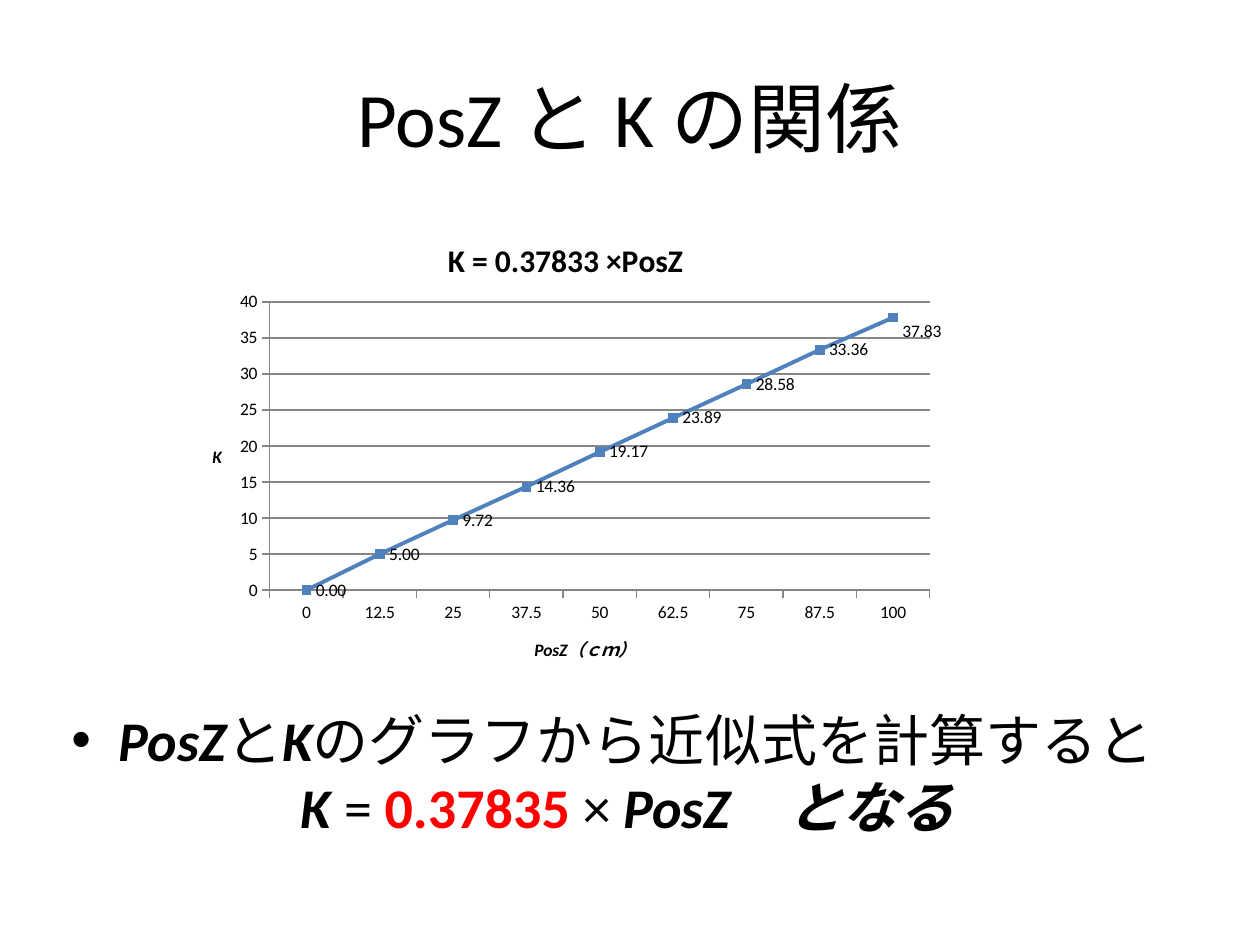
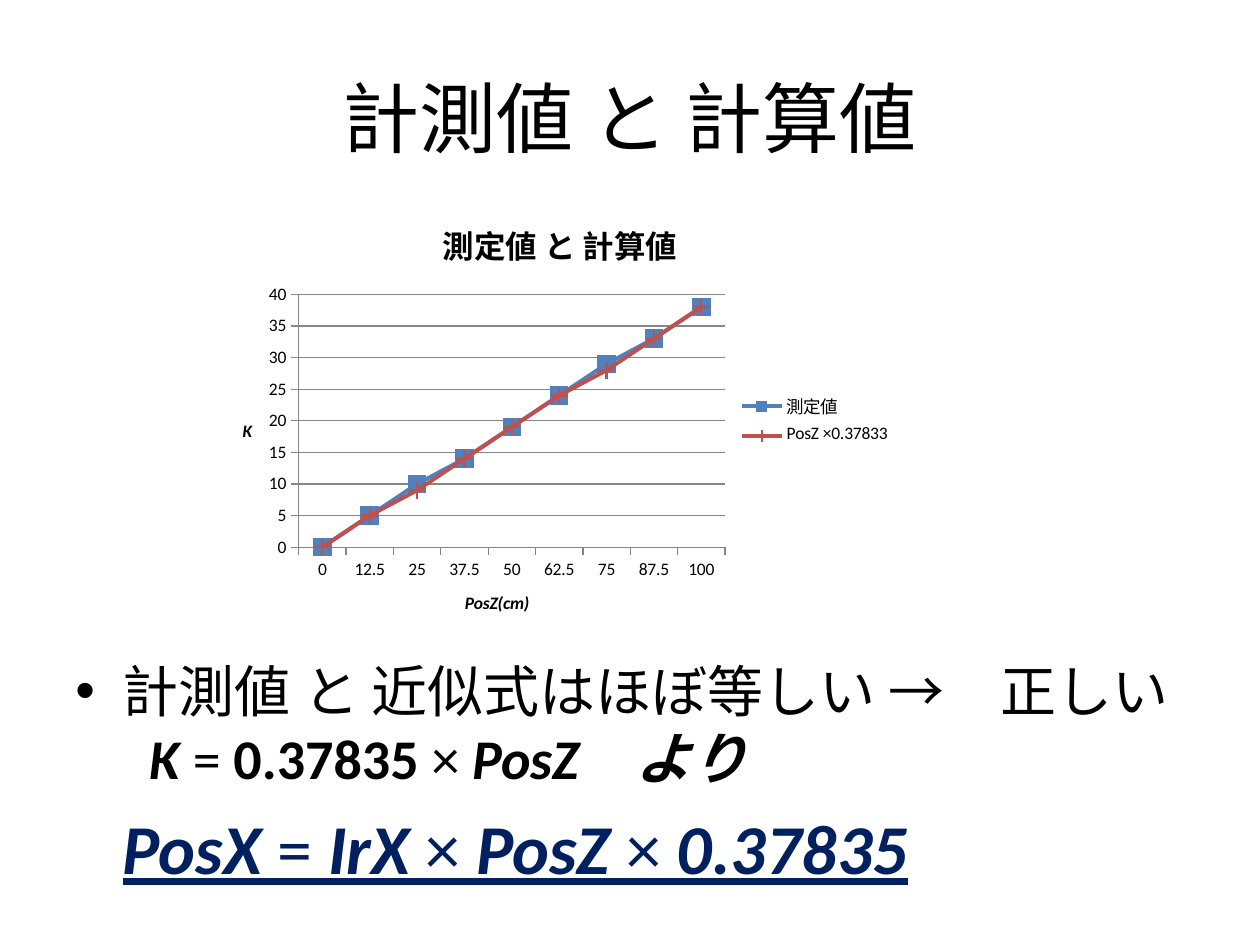
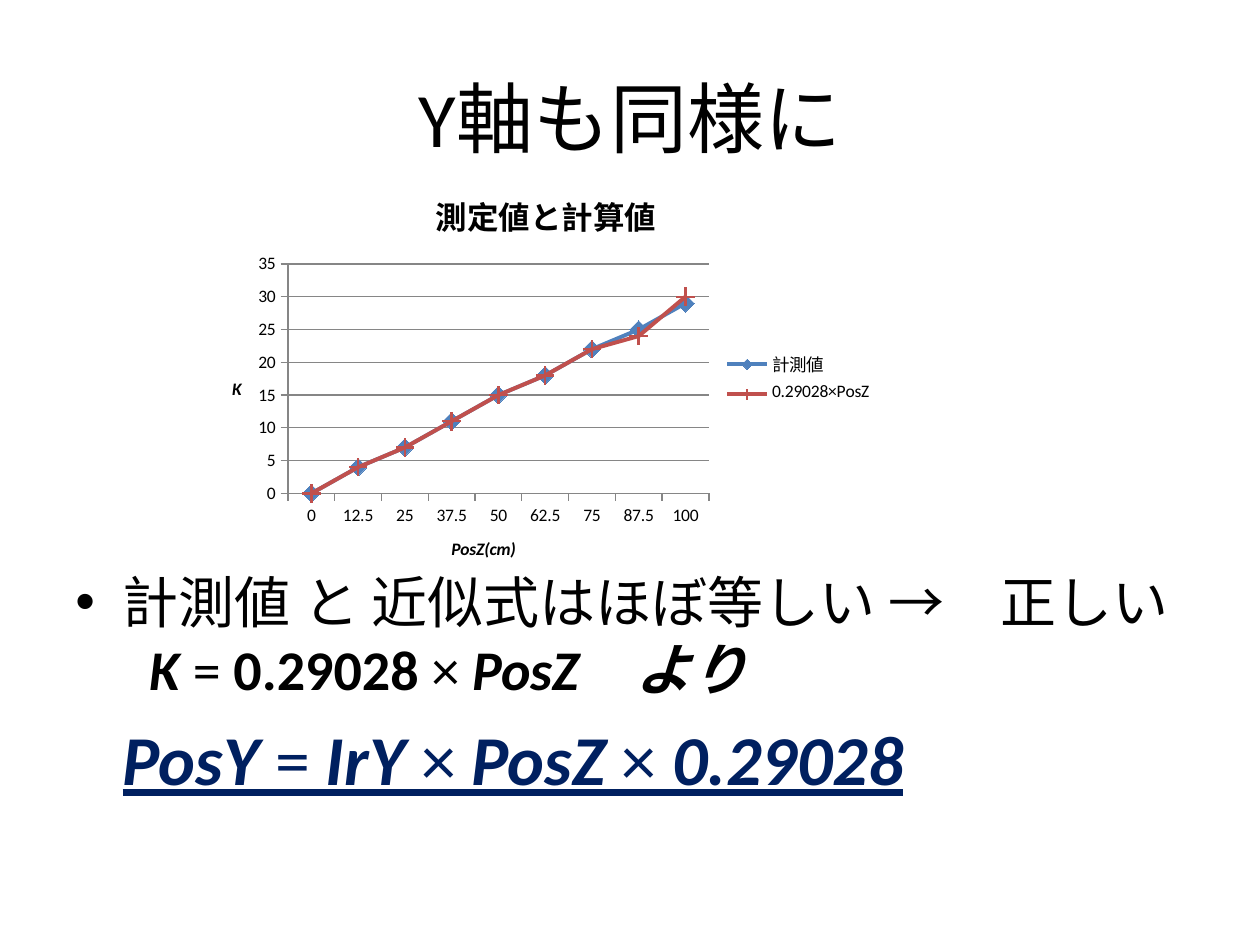
from pptx import Presentation
from pptx.chart.data import CategoryChartData
from pptx.dml.color import RGBColor
from pptx.enum.chart import (XL_CHART_TYPE, XL_LABEL_POSITION, XL_LEGEND_POSITION,
                             XL_MARKER_STYLE, XL_TICK_MARK)
from pptx.enum.text import MSO_ANCHOR, PP_ALIGN
from pptx.oxml import parse_xml
from pptx.oxml.ns import nsdecls
from pptx.util import Pt

LINE = XL_CHART_TYPE.LINE_MARKERS
RIGHT = XL_LABEL_POSITION.RIGHT
SIDE = XL_LEGEND_POSITION.RIGHT
SQUARE = XL_MARKER_STYLE.SQUARE
PLUS = XL_MARKER_STYLE.PLUS
DIAMOND = XL_MARKER_STYLE.DIAMOND
OUT = XL_TICK_MARK.OUTSIDE
MIDDLE = MSO_ANCHOR.MIDDLE
CENTER = PP_ALIGN.CENTER

FONT = "Calibri"
COLORS = {"text": "000000", "red": "FF0000", "navy": "002060", "grid": "868686",
          "blue": "4F81BD", "brick": "C0504D"}
CATS = ["0", "12.5", "25", "37.5", "50", "62.5", "75", "87.5", "100"]


def tint(name):
    return RGBColor.from_string(COLORS[name])


def write(para, text, size=32, style="", color="text"):
    """Add a run; style holds any of b (bold), i (italic), u (underline)."""
    run = para.add_run()
    run.text = text
    font = run.font
    font.name, font.size = FONT, Pt(size)
    font.bold, font.italic, font.underline = "b" in style, "i" in style, "u" in style
    font.color.rgb = tint(color)


# Series: name, values, colour, marker, marker size
# Body lines: left margin, bullet, space before, size, colour, runs
SLIDES = [
    {"title": "PosZ と K の関係",
     "body": (33.8, 399.6, 162),
     "lines": [
         (27, True, 6.4, 32, "text", [("PosZ", "bi"), ("と", ""), ("K", "bi"),
                                      ("のグラフから近似式を計算すると", "")]),
         (131, False, 0, 32, "text", [("K ", "bi"), ("= ", ""), ("0.37835", "b", "red"),
                                      (" × ", ""), ("PosZ　となる", "bi")])],
     "chart": (106.5, 124, 433.5, 270), "plot": (0.11, 0.18, 0.87, 0.61),
     "head": "K = 0.37833 ×PosZ", "unit": "PosZ（ｃｍ）", "top": 40,
     "series": [("Series 1", [0, 5, 9.72, 14.36, 19.17, 23.89, 28.58, 33.36, 37.83],
                 "blue", SQUARE, 5)]},
    {"title": "計測値 と 計算値",
     "body": (36, 371.5, 168.5), "rate": "0.37835", "axis": "X",
     "chart": (123.5, 112.5, 393, 253.5), "plot": (0.12, 0.22, 0.62, 0.57),
     "head": "測定値 と 計算値", "unit": "PosZ(cm)", "top": 40,
     "series": [("測定値", [0, 5, 10, 14, 19, 24, 29, 33, 38], "blue", SQUARE, 10),
                ("PosZ ×0.37833", [0, 5, 9, 14, 19, 24, 28, 33, 38], "brick", PLUS, 9)]},
    {"title": "Y軸も同様に",
     "body": (36, 320.5, 162), "rate": "0.29028", "axis": "Y",
     "chart": (118, 96, 388, 238.5), "plot": (0.12, 0.23, 0.62, 0.55),
     "head": "測定値と計算値", "unit": "PosZ(cm)", "top": 35,
     "series": [("計測値", [0, 4, 7, 11, 15, 18, 22, 25, 29], "blue", DIAMOND, 10),
                ("0.29028×PosZ", [0, 4, 7, 11, 15, 18, 22, 24, 30], "brick", PLUS, 10)]},
]

# The last two slides derive a position from their rate in the same words
for page in SLIDES[1:]:
    rate, axis = page["rate"], page["axis"]
    page["lines"] = [
        (27, True, 6.4, 32, "text", [("計測値 と 近似式はほぼ等しい →　正しい", "")]),
        (42.4, False, 0, 32, "text", [("K ", "bi"), ("= ", ""), (rate, "b"), (" × ", ""),
                                      ("PosZ　より", "bi")]),
        (27, False, 8, 40, "navy", [("Pos" + axis, "biu"), (" = ", "u"),
                                    ("Ir" + axis, "biu"), (" × ", "u"), ("PosZ", "biu"),
                                    (" × ", "u"), (rate, "biu")]),
    ]

deck = Presentation()
deck.slide_width, deck.slide_height = Pt(720), Pt(540)

for page in SLIDES:
    slide = deck.slides.add_slide(deck.slide_layouts[6])

    # Title
    frame = slide.shapes.add_textbox(Pt(36), Pt(21.6), Pt(648), Pt(90)).text_frame
    frame.word_wrap, frame.vertical_anchor = True, MIDDLE
    para = frame.paragraphs[0]
    para.alignment = CENTER
    write(para, page["title"], size=44)

    # Body text
    left, top, height = page["body"]
    frame = slide.shapes.add_textbox(Pt(left), Pt(top), Pt(648), Pt(height)).text_frame
    frame.word_wrap = True
    for row, (margin, bullet, space, size, color, runs) in enumerate(page["lines"]):
        para = frame.add_paragraph() if row else frame.paragraphs[0]
        para.space_before = Pt(space)
        props = para._p.get_or_add_pPr()
        props.set("marL", str(Pt(margin)))
        if bullet:
            props.set("indent", str(-Pt(margin)))
            props.append(parse_xml(f'<a:buFont {nsdecls("a")} typeface="Arial"/>'))
            props.append(parse_xml(f'<a:buChar {nsdecls("a")} char="•"/>'))
        for text, style, *other in runs:
            write(para, text, size=size, style=style, color=other[0] if other else color)

    # Chart
    data = CategoryChartData()
    data.categories = CATS
    for name, values, *look in page["series"]:
        data.add_series(name, values)
    box = [Pt(side) for side in page["chart"]]
    chart = slide.shapes.add_chart(LINE, *box, data).chart
    chart.font.name, chart.font.size = FONT, Pt(10)
    chart.font.color.rgb = tint("text")
    chart.has_title = True
    write(chart.chart_title.text_frame.paragraphs[0], page["head"], size=18, style="b")
    chart.chart_title.include_in_layout = False

    for axis, label in ((chart.category_axis, page["unit"]), (chart.value_axis, "K")):
        write(axis.axis_title.text_frame.paragraphs[0], label, size=10, style="bi")
        axis.major_tick_mark = OUT
        axis.format.line.color.rgb = tint("grid")
        axis.format.line.width = Pt(0.75)
    scale = chart.value_axis
    scale.minimum_scale, scale.maximum_scale, scale.major_unit = 0, page["top"], 5
    scale.has_major_gridlines = True
    scale.major_gridlines.format.line.color.rgb = tint("grid")
    scale.major_gridlines.format.line.width = Pt(0.75)
    chart.element.xpath("//c:valAx/c:title//a:bodyPr")[0].set("rot", "0")

    plot = chart.plots[0]
    plot.vary_by_categories = False
    for line, (name, values, color, mark, size) in zip(plot.series, page["series"]):
        line.smooth = False
        line.format.line.color.rgb = tint(color)
        line.format.line.width = Pt(2.25)
        line.marker.style, line.marker.size = mark, size
        line.marker.format.fill.solid()
        line.marker.format.fill.fore_color.rgb = tint(color)
        line.marker.format.line.color.rgb = tint(color)

    chart.has_legend = len(page["series"]) > 1
    if chart.has_legend:
        chart.legend.position = SIDE
        chart.legend.include_in_layout = False
    else:
        first = plot.series[0]
        labels = first.data_labels
        labels.show_value, labels.position = True, RIGHT
        labels.number_format = r"#,##0.00;[Red]\-#,##0.00"
        labels.number_format_is_linked = False
        # Lower the last label to clear the line
        first.points[len(CATS) - 1].data_label.position = RIGHT
        chart.element.xpath("//c:dLbl/c:idx")[0].addnext(parse_xml(
            f'<c:layout {nsdecls("c")}><c:manualLayout><c:x val="0"/><c:y val="0.03"/>'
            '</c:manualLayout></c:layout>'))

    # Place the inner plot area by fractions of the chart
    area = chart.element.xpath("c:chart/c:plotArea")[0]
    for old in area.xpath("c:layout"):
        area.remove(old)
    sizes = "".join(f'<c:{key} val="{part}"/>' for key, part in zip("xywh", page["plot"]))
    area.insert(0, parse_xml(
        f'<c:layout {nsdecls("c")}><c:manualLayout><c:layoutTarget val="inner"/>'
        f'<c:xMode val="edge"/><c:yMode val="edge"/>{sizes}</c:manualLayout></c:layout>'))

deck.save("out.pptx")
